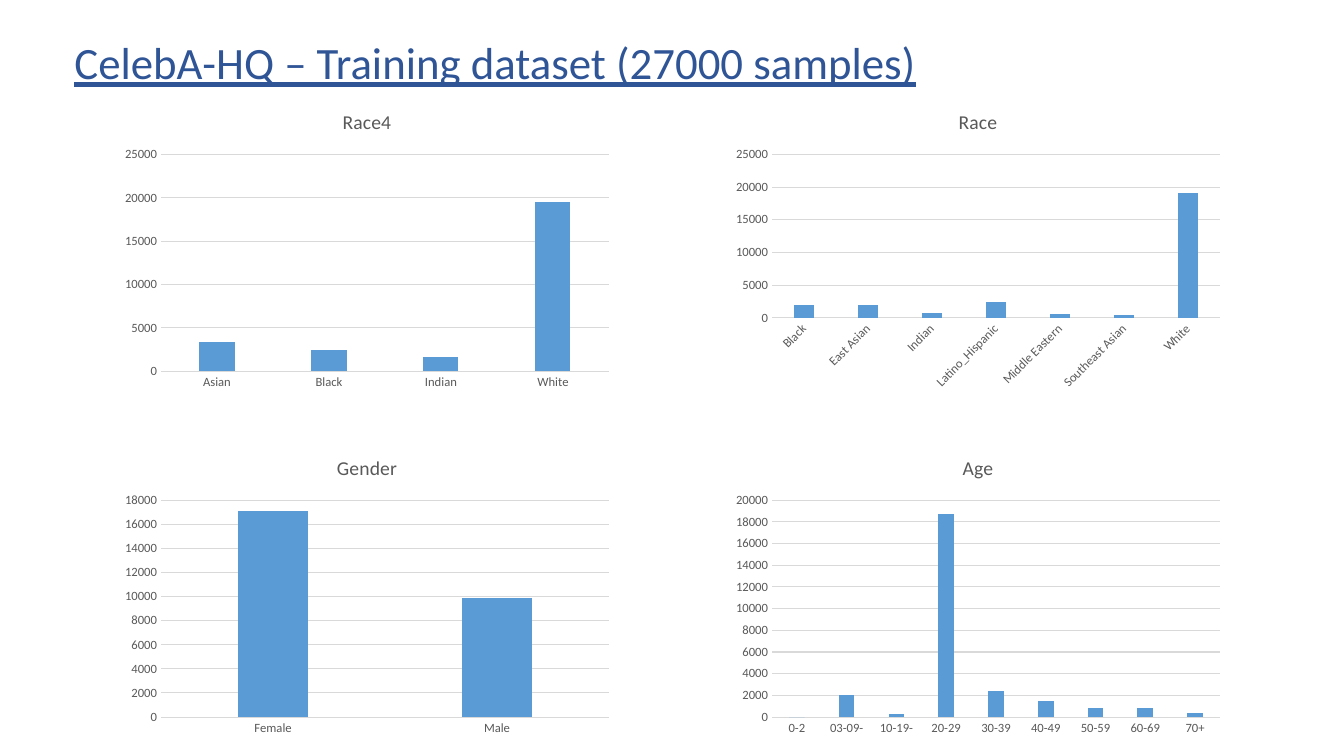
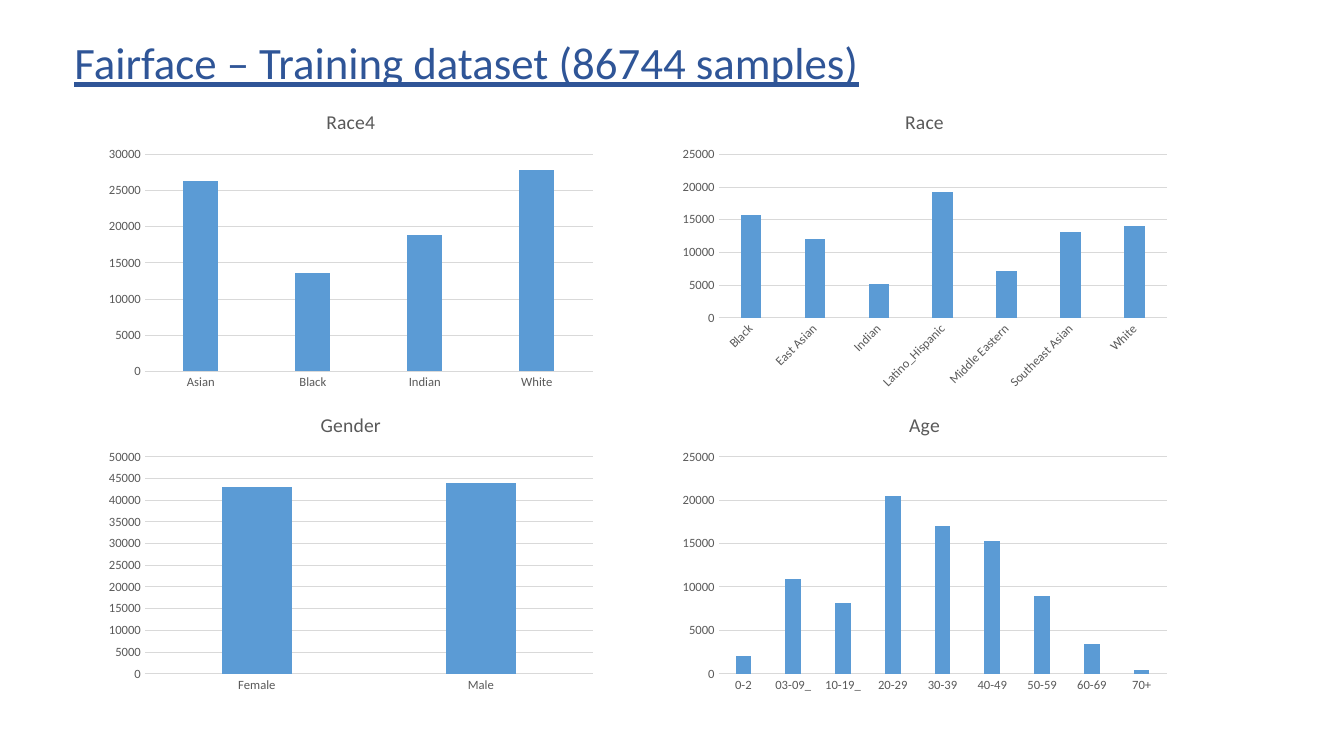
from pptx import Presentation
from pptx import util as u
from pptx.chart.data import CategoryChartData
from pptx.dml.color import RGBColor
from pptx.enum import chart as ch, text

COLORS = {"title": "2F5597", "bar": "5B9BD5", "label": "595959",
          "grid": "D9D9D9", "chart_text": "000000"}
FONT = "Calibri"
CHART_WIDTH, CHART_HEIGHT = 5, 3
AUTO_ROTATION = "-60000000"

# Categories by chart, in reading order of the two-column grid
CATEGORIES = {
    "Race4": ["Asian", "Black", "Indian", "White"],
    "Race": ["Black", "East Asian", "Indian", "Latino_Hispanic",
             "Middle Eastern", "Southeast Asian", "White"],
    "Gender": ["Female", "Male"],
    "Age": ["0-2", "03-09{0}", "10-19{0}", "20-29", "30-39", "40-49",
            "50-59", "60-69", "70+"],
}

DATASETS = [
    {"title": "CelebA-HQ – Training dataset (27000 samples)",
     "columns": (1.14, 7.2), "rows": (0.93, 4.36), "age_suffix": "-",
     "counts": {
         "Race4": [3400, 2500, 1600, 19500],
         "Race": [1900, 2000, 700, 2400, 600, 400, 19100],
         "Gender": [17100, 9900],
         "Age": [0, 2000, 300, 18700, 2400, 1500, 800, 800, 400]}},
    {"title": "Fairface – Training dataset (86744 samples)",
     "columns": (0.98, 6.67), "rows": (0.93, 3.93), "age_suffix": "_",
     "counts": {
         "Race4": [26300, 13600, 18900, 27900],
         "Race": [15800, 12100, 5100, 19300, 7100, 13200, 14100],
         "Gender": [43000, 44000],
         "Age": [2000, 10900, 8200, 20500, 17000, 15300, 9000, 3400, 400]}},
]


def rgb(name):
    return RGBColor.from_string(COLORS[name])


def style_font(font, size, color):
    font.name = FONT
    font.size = u.Pt(size)
    font.bold = False
    font.color.rgb = rgb(color)


def style_line(line):
    line.color.rgb = rgb("grid")
    line.width = u.Pt(0.75)


def add_title(slide, wording):
    box = slide.shapes.add_textbox(u.Inches(0.64), u.Inches(0.3),
                                   u.Inches(8.78), u.Inches(0.64))
    frame = box.text_frame
    frame.word_wrap = True
    frame.auto_size = text.MSO_AUTO_SIZE.SHAPE_TO_FIT_TEXT
    frame.text = wording
    font = frame.paragraphs[0].runs[0].font
    style_font(font, 32, "title")
    font.underline = True


def style_axes(chart):
    for axis in (chart.category_axis, chart.value_axis):
        axis.major_tick_mark = axis.minor_tick_mark = ch.XL_TICK_MARK.NONE
        style_font(axis.tick_labels.font, 9, "label")
    categories, values = chart.category_axis, chart.value_axis
    style_line(categories.format.line)
    # Lets the renderer slant labels that do not fit
    categories._element.txPr.bodyPr.set("rot", AUTO_ROTATION)
    values.format.line.fill.background()
    values.minimum_scale = 0
    style_line(values.major_gridlines.format.line)


def add_histogram(slide, left, top, name, categories, counts):
    data = CategoryChartData()
    data.categories = categories
    data.add_series(name, counts)
    chart = slide.shapes.add_chart(
        ch.XL_CHART_TYPE.COLUMN_CLUSTERED, u.Inches(left), u.Inches(top),
        u.Inches(CHART_WIDTH), u.Inches(CHART_HEIGHT), data).chart
    style_font(chart.font, 10, "chart_text")
    chart.has_legend = False
    chart.has_title = True
    chart.chart_title.include_in_layout = False
    heading = chart.chart_title.text_frame
    heading.text = name
    style_font(heading.paragraphs[0].runs[0].font, 14, "label")
    style_axes(chart)

    plot = chart.plots[0]
    plot.gap_width, plot.overlap = 219, -27
    plot.vary_by_categories = False
    bars = plot.series[0].format.fill
    bars.solid()
    bars.fore_color.rgb = rgb("bar")


def add_dataset_slide(prs, dataset):
    slide = prs.slides.add_slide(prs.slide_layouts[6])
    add_title(slide, dataset["title"])
    for index, (name, labels) in enumerate(CATEGORIES.items()):
        row, column = divmod(index, 2)
        add_histogram(slide, dataset["columns"][column], dataset["rows"][row],
                      name,
                      [label.format(dataset["age_suffix"]) for label in labels],
                      dataset["counts"][name])


def main():
    prs = Presentation()
    prs.slide_width, prs.slide_height = u.Inches(13.33), u.Inches(7.5)
    for dataset in DATASETS:
        add_dataset_slide(prs, dataset)
    prs.save("out.pptx")


if __name__ == "__main__":
    main()
